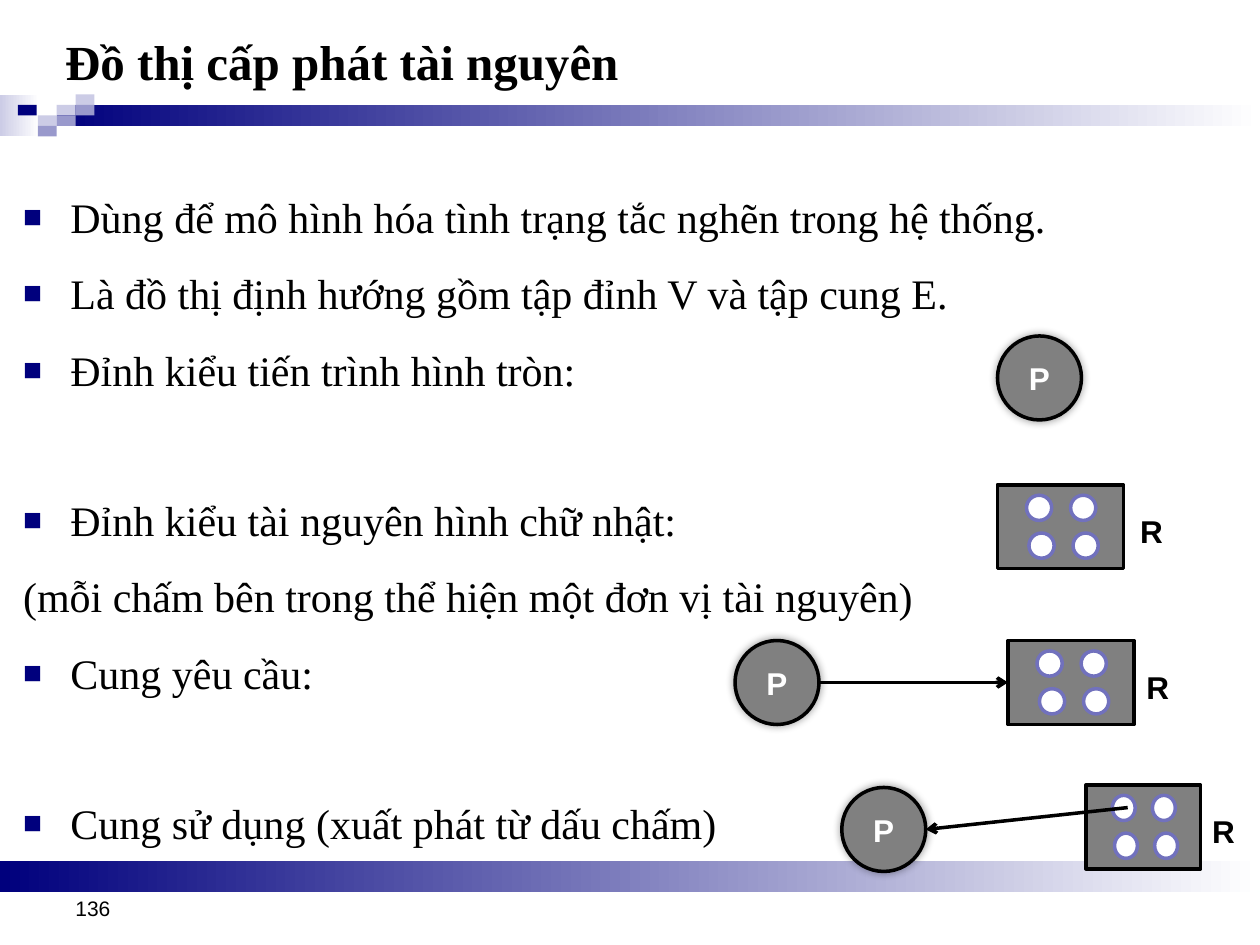
import pptx
import pptx.util
import pptx.dml.color
import pptx.enum.shapes
import pptx.enum.text
import pptx.oxml
from pptx.oxml.ns import nsdecls
from pptx.util import Pt

KIND = pptx.enum.shapes.MSO_SHAPE
ALIGN = pptx.enum.text.PP_ALIGN
ANCHOR = pptx.enum.text.MSO_ANCHOR
NAVY, WHITE, BLACK, GREY = "00007D", "FFFFFF", "000000", "808080"
PALE, MID, RING = "CCCCE6", "9999CC", "7171BD"


def rgb(code):
    return pptx.dml.color.RGBColor.from_string(code)


def write(para, text, size=18, font="Arial", color=BLACK, bold=False, align=ALIGN.LEFT):
    para.alignment = align
    run = para.add_run()
    run.text = text
    run.font.size, run.font.name, run.font.bold = Pt(size), font, bold
    run.font.color.rgb = rgb(color)


prs = pptx.Presentation()
prs.slide_width, prs.slide_height = Pt(720), Pt(540)
slide = prs.slides.add_slide(prs.slide_layouts[1])
shapes = slide.shapes
title, body = shapes.title, slide.placeholders[1]

# Banner, its tiles and the foot bar: left, top, width, height, colours
decor = [
    (0, 54, 22.3, 24, PALE, WHITE),
    (32.4, 60, 687.6, 12, NAVY, WHITE),
    (32.4, 60, 10.8, 6, PALE),
    (43.2, 54, 10.8, 6, PALE),
    (43.2, 60, 10.8, 6, MID),
    (21.6, 66, 10.8, 6, PALE),
    (10.2, 60, 10.8, 6, NAVY),
    (32.4, 66, 10.8, 6, MID),
    (21.6, 72, 10.8, 6, MID),
    (0, 492, 720, 18, NAVY, WHITE),
]
for left, top, wide, high, *tones in decor:
    tile = shapes.add_shape(KIND.RECTANGLE, Pt(left), Pt(top), Pt(wide), Pt(high))
    tile.shadow.inherit = False
    tile.line.fill.background()
    if len(tones) == 1:
        tile.fill.solid()
        tile.fill.fore_color.rgb = rgb(tones[0])
    else:
        tile.fill.gradient()
        tile.fill.gradient_angle = 0
        for stop, tone in zip(tile.fill.gradient_stops, tones):
            stop.color.rgb = rgb(tone)

# Title and list stand in front of the banner
for holder in (title, body):
    shapes._spTree.append(holder._element)

title.left, title.top, title.width, title.height = Pt(30), Pt(12), Pt(576), Pt(73.5)
frame = title.text_frame
frame.auto_size = pptx.enum.text.MSO_AUTO_SIZE.NONE
frame.vertical_anchor = ANCHOR.TOP
frame.margin_top = Pt(6)
write(frame.paragraphs[0], "Đồ thị cấp phát tài nguyên", size=28, font="Times New Roman", bold=True)

# List: text, bullet, space before
NEAR, FAR = 6.3, 48.5
items = [
    ("Dùng để mô hình hóa tình trạng tắc nghẽn trong hệ thống.", True, 0),
    ("Là đồ thị định hướng gồm tập đỉnh V và tập cung E.", True, NEAR),
    ("Đỉnh kiểu tiến trình hình tròn:", True, NEAR),
    ("Đỉnh kiểu tài nguyên hình chữ nhật:", True, FAR),
    ("(mỗi chấm bên trong thể hiện một đơn vị tài nguyên)", False, NEAR),
    ("Cung yêu cầu:", True, NEAR),
    ("Cung sử dụng (xuất phát từ dấu chấm)", True, FAR),
]
BULLET = (
    f'<a:buClr {nsdecls("a")}><a:srgbClr val="{NAVY}"/></a:buClr>',
    f'<a:buSzPct {nsdecls("a")} val="75000"/>',
    f'<a:buFont {nsdecls("a")} typeface="Arial"/>',
    f'<a:buChar {nsdecls("a")} char="■"/>',
)
PLAIN = (f'<a:buNone {nsdecls("a")}/>',)
body.left, body.top, body.width, body.height = Pt(6), Pt(97), Pt(714), Pt(443)
frame = body.text_frame
frame.auto_size = pptx.enum.text.MSO_AUTO_SIZE.NONE
frame.vertical_anchor = ANCHOR.TOP
for num, (text, mark, gap) in enumerate(items):
    para = frame.add_paragraph() if num else frame.paragraphs[0]
    props = para._p.get_or_add_pPr()
    props.set("marL", str(Pt(27) if mark else 0))
    props.set("indent", str(Pt(-27) if mark else 0))
    for xml in BULLET if mark else PLAIN:
        props.append(pptx.oxml.parse_xml(xml))
    para.line_spacing, para.space_before = 1.3, Pt(gap)
    write(para, text, size=24, font="Times New Roman")

# Slide number
foot = shapes.add_textbox(Pt(36), Pt(492), Pt(168), Pt(37.5)).text_frame
foot.word_wrap = True
foot.vertical_anchor = ANCHOR.BOTTOM
write(foot.paragraphs[0], "136", size=12)

# Process circles
GLOW = (
    f'<a:effectLst {nsdecls("a")}><a:outerShdw blurRad="{Pt(5)}" dist="0" dir="0">'
    '<a:srgbClr val="000000"><a:alpha val="40000"/></a:srgbClr></a:outerShdw></a:effectLst>'
)
for left, top in ((570, 192), (420, 366), (481, 450)):
    proc = shapes.add_shape(KIND.OVAL, Pt(left), Pt(top), Pt(48), Pt(48))
    proc.fill.solid()
    proc.fill.fore_color.rgb = rgb(GREY)
    proc.line.color.rgb, proc.line.width = rgb(BLACK), Pt(2)
    proc._element.spPr.append(pptx.oxml.parse_xml(GLOW))
    proc.text_frame.vertical_anchor = ANCHOR.MIDDLE
    write(proc.text_frame.paragraphs[0], "P", color=WHITE, bold=True, align=ALIGN.CENTER)

# Resource boxes with four dots and a label: left, top, x scale, label left
DOTS = ((16.6, 6), (18, 27.6), (43.2, 27.6), (41.8, 6))
boxes = []
for left, top, ratio, tag in ((570, 277, 1, 644.4), (576, 366, 1, 648), (620.5, 448.5, 0.91, 685.5)):
    parts = [(KIND.RECTANGLE, 0, 0, 72, 48, GREY, BLACK)]
    parts += [(KIND.OVAL, x, y, 14.4, 14.4, WHITE, RING) for x, y in DOTS]
    for kind, x, y, wide, high, tone, edge in parts:
        part = shapes.add_shape(kind, Pt(left + x * ratio), Pt(top + y), Pt(wide * ratio), Pt(high))
        part.shadow.inherit = False
        part.fill.solid()
        part.fill.fore_color.rgb = rgb(tone)
        part.line.color.rgb, part.line.width = rgb(edge), Pt(2)
        if kind == KIND.RECTANGLE:
            boxes.append(part)
    label = shapes.add_textbox(Pt(tag), Pt(top + 12), Pt(34), Pt(29)).text_frame
    label.word_wrap = True
    write(label.paragraphs[0], "R", bold=True)

# Request arrow and use arrow
links = []
for ends in ((468, 390, 576, 390), (644.4, 461.5, 529, 474)):
    link = shapes.add_connector(pptx.enum.shapes.MSO_CONNECTOR.STRAIGHT, *map(Pt, ends))
    link.line.color.rgb, link.line.width = rgb(BLACK), Pt(2)
    link.line._get_or_add_ln().append(pptx.oxml.parse_xml(f'<a:tailEnd {nsdecls("a")} type="arrow"/>'))
    link._element.spPr.append(pptx.oxml.parse_xml(f'<a:effectLst {nsdecls("a")}/>'))
    links.append(link)
links[0].end_connect(boxes[1], 1)

prs.save("out.pptx")
